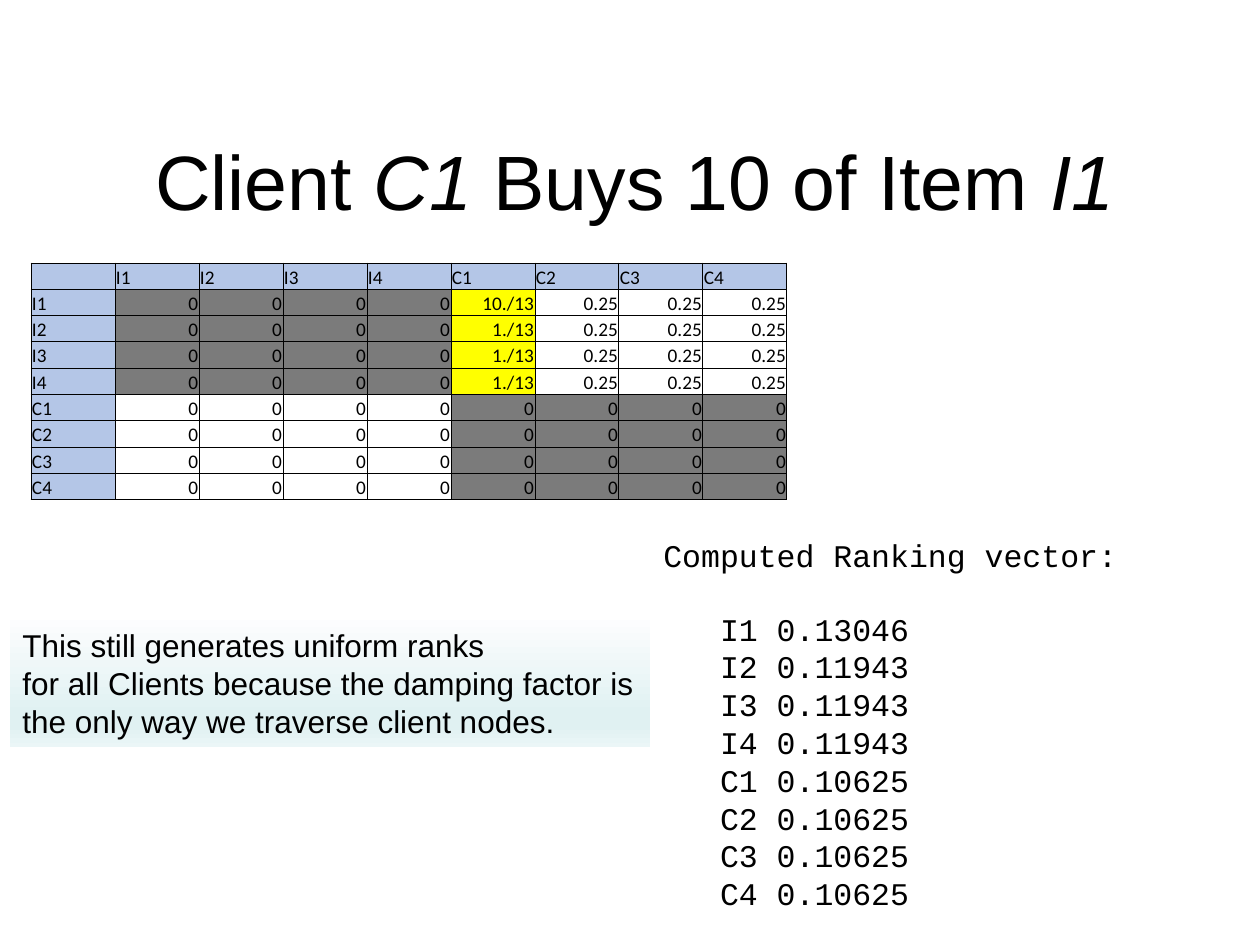
"""Build the slide on client C1 buying ten of item I1."""
from lxml import etree
from pptx import Presentation
from pptx.dml.color import RGBColor
from pptx.enum.shapes import MSO_SHAPE
from pptx.enum.text import MSO_ANCHOR, PP_ALIGN
from pptx.oxml import parse_xml
from pptx.oxml.ns import nsdecls, qn
from pptx.util import Emu, Pt

RECT = MSO_SHAPE.RECTANGLE
MIDDLE, BOTTOM = MSO_ANCHOR.MIDDLE, MSO_ANCHOR.BOTTOM
LEFT, CENTER, RIGHT = PP_ALIGN.LEFT, PP_ALIGN.CENTER, PP_ALIGN.RIGHT

TITLE = [("Client ", False), ("C1", True), (" Buys 10 of Item ", False), ("I1", True)]
ITEMS = ["I1", "I2", "I3", "I4"]
CLIENTS = ["C1", "C2", "C3", "C4"]
NODES = ITEMS + CLIENTS
C1_WEIGHTS = ["10./13", "1./13", "1./13", "1./13"]
RANK_HEADING = "Computed Ranking vector:"
RANKS = ["0.13046"] + ["0.11943"] * 3 + ["0.10625"] * 4
NOTE = [
    "This still generates uniform ranks",
    "for all Clients because the damping factor is the only way we traverse client nodes.",
]
COLORS = {"text": "000000", "header": "B4C6E7", "block": "7B7B7B", "changed": "FFFF00"}
NOTE_STOPS = [(0, "FCFDFE"), (74, "E0F1F2"), (83, "E0F1F2"), (100, "EBF6F7")]

SLIDE = (1260, 945)
TITLE_BOX = (73, 127, 1124, 105)
TABLE_BOX = (31, 263, 756, 237)
RANK_BOX = (651, 530, 567, 394)
NOTE_BOX = (10, 620, 640, 127)


def px(n):
    return Emu(round(n * 914400 / 126))


def box(lengths):
    return [px(n) for n in lengths]


def style(p, font, size):
    for r in p.runs:
        r.font.name, r.font.size = font, Pt(size)
        r.font.color.rgb = RGBColor.from_string(COLORS["text"])


def cell_content(row, col):
    if row == 0 or col == 0:
        return ([""] + NODES)[row + col], "header", LEFT
    from_item, to_item = col <= len(ITEMS), row <= len(ITEMS)
    if from_item or not to_item:
        return "0", "block" if from_item == to_item else None, RIGHT
    if col == len(ITEMS) + 1:
        return C1_WEIGHTS[row - 1], "changed", RIGHT
    return "0.25", None, RIGHT


def add_borders(cell):
    tc_pr = cell._tc.get_or_add_tcPr()
    for side in "LRTB":
        tc_pr.append(parse_xml(
            f'<a:ln{side} {nsdecls("a")} w="6350"><a:solidFill>'
            f'<a:srgbClr val="{COLORS["text"]}"/></a:solidFill></a:ln{side}>'))


def add_matrix(s):
    n = len(NODES) + 1
    table = s.shapes.add_table(n, n, *box(TABLE_BOX)).table
    table.first_row = table.horz_banding = False
    for i in range(n):
        table.columns[i].width = px(TABLE_BOX[2] / n)
        table.rows[i].height = px(TABLE_BOX[3] / n)
    for row in range(n):
        for col in range(n):
            text, color, align = cell_content(row, col)
            cell = table.cell(row, col)
            cell.text = text
            cell.vertical_anchor = BOTTOM
            cell.margin_left = cell.margin_right = cell.margin_top = px(1)
            cell.margin_bottom = 0
            p = cell.text_frame.paragraphs[0]
            p.alignment = align
            style(p, "Calibri", 11)
            if not text:
                etree.SubElement(p._p, qn("a:endParaRPr")).set("sz", "1100")
            add_borders(cell)
            if color:
                cell.fill.solid()
                cell.fill.fore_color.rgb = RGBColor.from_string(COLORS[color])
            else:
                cell.fill.background()


def add_title(s):
    title = s.shapes.title
    title.left, title.top, title.width, title.height = box(TITLE_BOX)
    tf = title.text_frame
    tf.vertical_anchor = MIDDLE
    p = tf.paragraphs[0]
    p.alignment = CENTER
    for text, italic in TITLE:
        r = p.add_run()
        r.text, r.font.italic = text, italic
    style(p, "Arial", 44)


def add_ranks(s):
    tf = s.shapes.add_textbox(*box(RANK_BOX)).text_frame
    tf.word_wrap = True
    tf.text = "\n".join([RANK_HEADING] + [f"{n} {v}" for n, v in zip(NODES, RANKS)])
    for p in tf.paragraphs:
        style(p, "Courier New", 18)
    tf.paragraphs[0].space_after = Pt(20.4)
    for p in tf.paragraphs[1:]:
        p._p.get_or_add_pPr().set("marL", str(Pt(32.4)))


def add_note(s):
    sp = s.shapes.add_shape(RECT, *box(NOTE_BOX))
    sp.shadow.inherit = False
    sp.line.fill.background()
    sp.fill.gradient()
    grad = sp._element.spPr.find(qn("a:gradFill"))
    stops = "".join(f'<a:gs pos="{pos * 1000}"><a:srgbClr val="{color}"/></a:gs>'
                    for pos, color in NOTE_STOPS)
    grad.getparent().replace(grad, parse_xml(
        f'<a:gradFill {nsdecls("a")}><a:gsLst>{stops}</a:gsLst>'
        '<a:lin ang="5400000" scaled="0"/></a:gradFill>'))
    tf = sp.text_frame
    tf.word_wrap = True
    tf.vertical_anchor = MSO_ANCHOR.TOP
    tf.text = "\n".join(NOTE)
    for p in tf.paragraphs:
        p.alignment = LEFT
        style(p, "Arial", 18)


def main():
    prs = Presentation()
    prs.slide_width, prs.slide_height = box(SLIDE)
    s = prs.slides.add_slide(prs.slide_layouts[5])
    add_title(s)
    add_matrix(s)
    add_ranks(s)
    add_note(s)
    prs.save("out.pptx")


if __name__ == "__main__":
    main()
